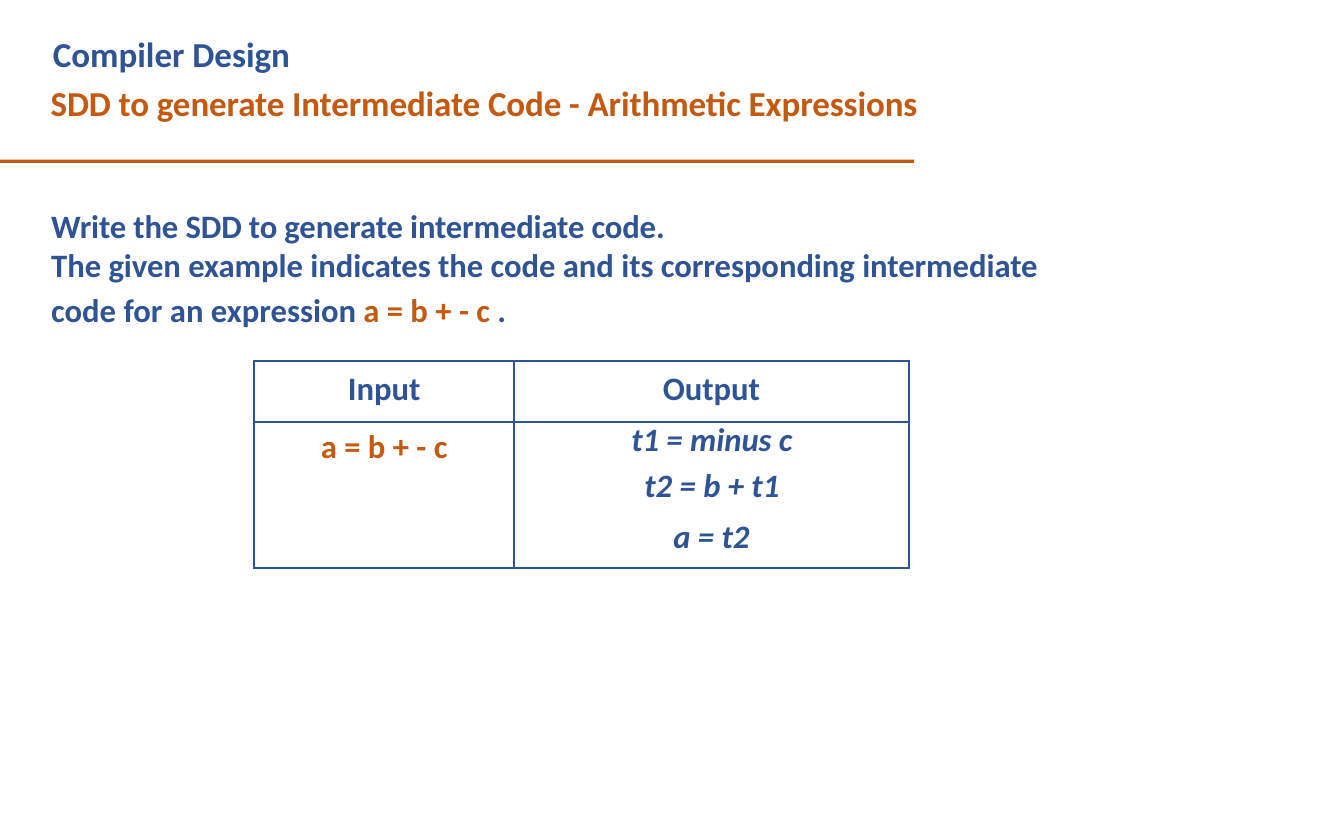
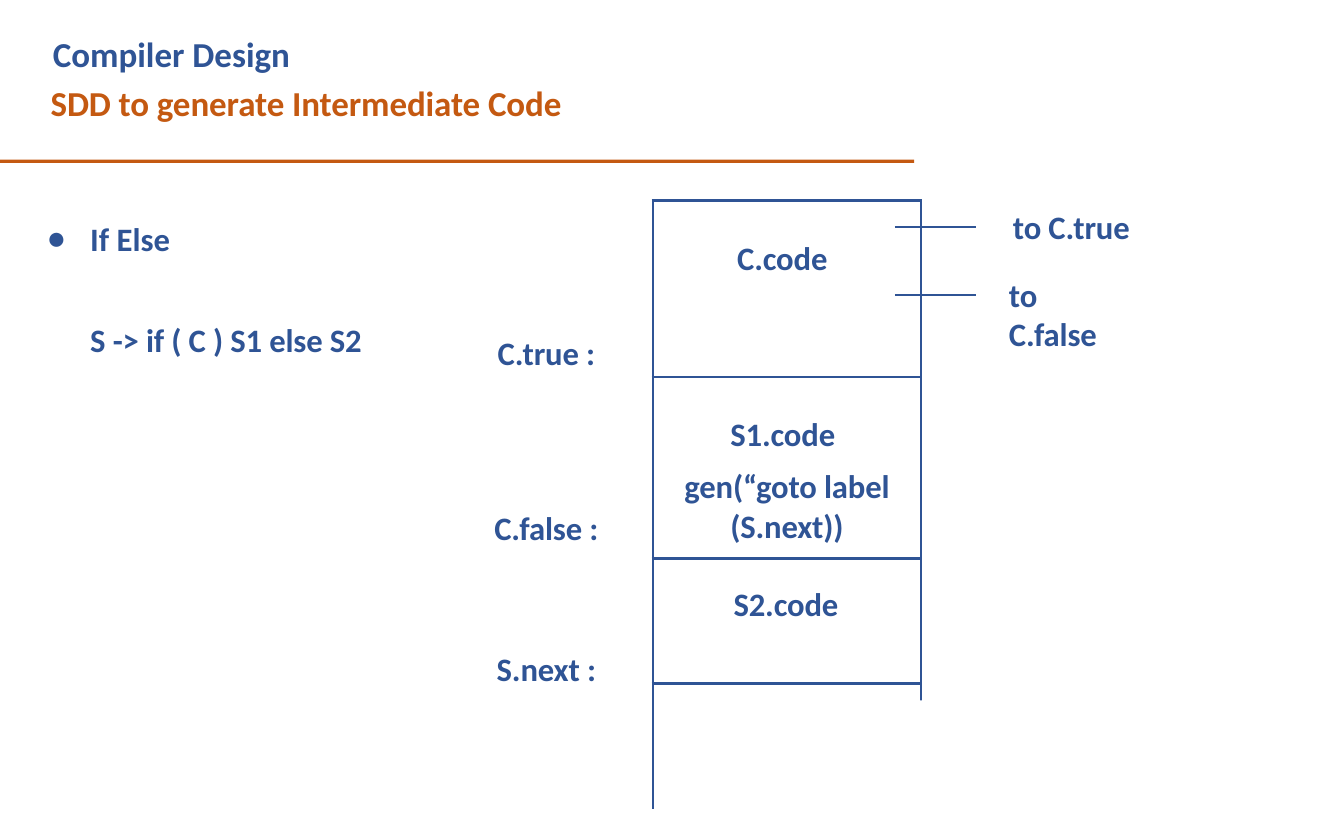
import pptx
import pptx.util
import pptx.dml.color
import pptx.enum.shapes
import pptx.enum.text
import pptx.oxml.ns
from lxml import etree

Cm = pptx.util.Cm
Pt = pptx.util.Pt
CENTER = pptx.enum.text.PP_ALIGN.CENTER

COLORS = {"blue": "2F5495", "orange": "C45911", "white": "FFFFFF"}
FONT = "Calibri"
BULLET_FONT = "Arial"
TITLE_SIZE = 30
BODY_SIZE = 28
BORDER_WIDTH = 2.25

COURSE = "Compiler Design"
TITLES = [
    "SDD to generate Intermediate Code - Arithmetic Expressions",
    "SDD to generate Intermediate Code",
]


def line(*runs, marker=None, left=0, right=0, hanging=0, spacing=0, **formats):
    return {"runs": runs, "marker": marker, "left": left, "right": right,
            "hanging": hanging, "spacing": spacing, "formats": formats}


def blue(text, italic=False):
    return text, "blue", italic


def orange(text):
    return text, "orange", False


TASK = [
    line(blue("Write the SDD to generate intermediate code."), left=0.03, spacing=-0.1),
    line(blue("The given example indicates the code and its corresponding intermediate"),
         left=0.03, spacing=-0.04),
    line(blue("code for an expression "), orange("a = b + - c "), blue("."),
         left=0.03, space_before=Pt(5)),
]

TRANSLATION = {
    "at": (7.69, 10.92),
    "columns": [7.85, 11.94],
    "rows": [1.85, 4.41],
    "merges": [],
    "horizontal": {(row, column) for row in range(3) for column in range(2)},
    "vertical": {(row, column) for row in range(2) for column in range(3)},
    "cells": {
        (0, 0): (0.25, [line(blue("Input"), alignment=CENTER)]),
        (0, 1): (0.25, [line(blue("Output"), alignment=CENTER)]),
        (1, 0): (0.15, [line(orange("a = b + - c"), alignment=CENTER)]),
        (1, 1): (0, [
            line(blue("t1 = minus c", True), left=0.03, alignment=CENTER,
                 line_spacing=Pt(32.5)),
            line(blue("t2 = b + t1", True), left=0.03, alignment=CENTER, space_before=Pt(5)),
            line(blue("a = t2", True), alignment=CENTER, space_before=Pt(10.1)),
        ]),
    },
}

CODE_LAYOUT = {
    "at": (19.74, 6.06),
    "columns": [7.32, 0.79, 1.65],
    "rows": [0.81, 2.05, 2.48, 5.49, 3.78, 3.78],
    "merges": [((0, 0), (2, 0)), ((2, 2), (5, 2))]
    + [((row, 0), (row, 1)) for row in (3, 4, 5)],
    "horizontal": {(row, column) for row in (0, 3, 4, 5) for column in (0, 1)}
    | {(row, column) for row in (1, 2) for column in (1, 2)},
    "vertical": {(row, column) for row in range(6) for column in (0, 2)},
    "cells": {
        (0, 0): (1.17, [line(blue("C.code"), left=2.55, spacing=-0.1)]),
        (3, 0): (1.17, [
            line(blue("S1.code"), right=0.25, alignment=CENTER, spacing=-0.1),
            line(blue("gen(“goto label (S.next))"), alignment=CENTER,
                 spacing=-0.1, space_before=Pt(10)),
        ]),
        (4, 0): (0.81, [line(blue("S2.code"), left=2.44, spacing=-0.1)]),
    },
}
OPEN_END = (19.84, 21.18, 8.09, 3.79)

LABELS = [
    ("C.true :", 15.02, 10.03, 3.3),
    ("C.false :", 14.92, 15.32, 3.5),
    ("S.next :", 14.99, 19.58, 3.4),
    ("to C.true", 30.6, 6.22, 4),
    ("to C.false", 30.48, 8.27, 3.3),
    ("S -> if ( C ) S1 else S2", 2.7, 9.65, 9),
]


def color(name):
    return pptx.dml.color.RGBColor.from_string(COLORS[name])


def apply(target, formats):
    for name, value in formats.items():
        setattr(target, name, value)


def write(frame, lines, size=BODY_SIZE):
    for index, content in enumerate(lines):
        paragraph = frame.paragraphs[0] if index == 0 else frame.add_paragraph()
        properties = paragraph._p.get_or_add_pPr()
        properties.set("marL", str(Cm(content["left"])))
        properties.set("marR", str(Cm(content["right"])))
        properties.set("indent", str(Cm(-content["hanging"])))
        apply(paragraph, content["formats"])
        if content["marker"]:
            font = etree.SubElement(properties, pptx.oxml.ns.qn("a:buFont"))
            font.set("typeface", BULLET_FONT)
            bullet = etree.SubElement(properties, pptx.oxml.ns.qn("a:buChar"))
            bullet.set("char", content["marker"])
        for text, color_name, italic in content["runs"]:
            run = paragraph.add_run()
            run.text = text
            apply(run.font, {"name": FONT, "size": Pt(size), "bold": True, "italic": italic})
            run.font.color.rgb = color(color_name)
            run._r.get_or_add_rPr().set("spc", str(round(content["spacing"] * 100)))


def add_text(slide, lines, left, top, width, height=1.24, inset=0.03, size=BODY_SIZE):
    frame = slide.shapes.add_textbox(Cm(left), Cm(top), Cm(width), Cm(height)).text_frame
    apply(frame, {"word_wrap": True, "margin_left": 0, "margin_right": 0,
                  "margin_top": Cm(inset), "margin_bottom": 0})
    write(frame, lines, size)


def add_block(slide, color_name, left, top, width, height):
    block = slide.shapes.add_shape(pptx.enum.shapes.MSO_SHAPE.RECTANGLE,
                                   Cm(left), Cm(top), Cm(width), Cm(height))
    block.shadow.inherit = False
    block.fill.solid()
    block.fill.fore_color.rgb = color(color_name)
    block.line.fill.background()


def set_border(cell, side, visible):
    border = etree.SubElement(cell._tc.get_or_add_tcPr(), pptx.oxml.ns.qn("a:ln" + side))
    if not visible:
        etree.SubElement(border, pptx.oxml.ns.qn("a:noFill"))
        return
    border.set("w", str(Pt(BORDER_WIDTH)))
    fill = etree.SubElement(border, pptx.oxml.ns.qn("a:solidFill"))
    etree.SubElement(fill, pptx.oxml.ns.qn("a:srgbClr")).set("val", COLORS["blue"])


def add_grid(slide, grid):
    columns, rows = grid["columns"], grid["rows"]
    left, top = grid["at"]
    table = slide.shapes.add_table(len(rows), len(columns), Cm(left), Cm(top),
                                   Cm(sum(columns)), Cm(sum(rows))).table
    apply(table, {"first_row": False, "horz_banding": False})
    for column, width in zip(table.columns, columns):
        column.width = Cm(width)
    for row, height in zip(table.rows, rows):
        row.height = Cm(height)
    for start, end in grid["merges"]:
        table.cell(*start).merge(table.cell(*end))
    for row in range(len(rows)):
        for column in range(len(columns)):
            cell = table.cell(row, column)
            inset, lines = grid["cells"].get((row, column), (0, []))
            apply(cell, {"margin_left": 0, "margin_right": 0,
                         "margin_top": Cm(inset), "margin_bottom": 0})
            bottom = row + (cell.span_height if cell.is_merge_origin else 1)
            right = column + (cell.span_width if cell.is_merge_origin else 1)
            set_border(cell, "L", (row, column) in grid["vertical"])
            set_border(cell, "R", (row, right) in grid["vertical"])
            set_border(cell, "T", (row, column) in grid["horizontal"])
            set_border(cell, "B", (bottom, column) in grid["horizontal"])
            cell.fill.background()
            if lines:
                write(cell.text_frame, lines)
            else:
                cell.text_frame.paragraphs[0]._p.get_or_add_endParaRPr().set("sz", "100")


def add_titled_slide(presentation, title):
    slide = presentation.slides.add_slide(presentation.slide_layouts[6])
    heading = [line(blue(COURSE), left=0.1),
               line(orange(title), left=0.03, spacing=-0.08, space_before=Pt(6))]
    add_text(slide, heading, 1.5, 0.74, 26.44, 3.02, 0.25, TITLE_SIZE)
    add_block(slide, "orange", 0, 4.83, 27.64, 0.1)
    return slide


def main():
    presentation = pptx.Presentation()
    apply(presentation, {"slide_width": Cm(40.64), "slide_height": Cm(25.4)})
    expressions, branches = [add_titled_slide(presentation, title) for title in TITLES]

    add_grid(expressions, TRANSLATION)
    add_text(expressions, TASK, 1.52, 6.2, 29.97, 3.81)

    add_grid(branches, CODE_LAYOUT)
    add_block(branches, "white", *OPEN_END)
    add_text(branches, [line(blue("If Else"), marker="●", left=1.37, hanging=1.32)],
             1.36, 6.58, 3.81)
    for text, left, top, width in LABELS:
        add_text(branches, [line(blue(text), left=0.03, spacing=-0.1)], left, top, width)
    presentation.save("out.pptx")


if __name__ == "__main__":
    main()
